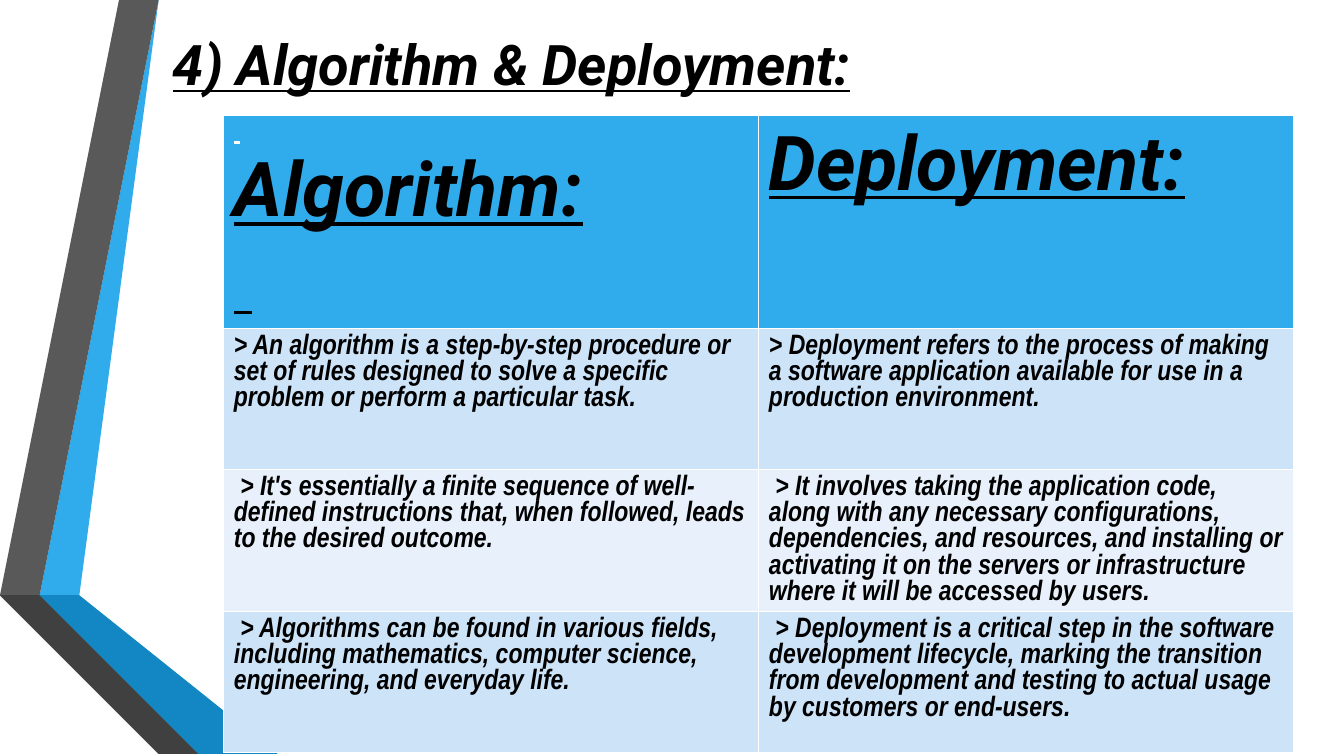
from pptx import Presentation
from pptx.dml.color import RGBColor
from pptx.enum.text import MSO_ANCHOR, PP_ALIGN
from pptx.oxml import parse_xml
from pptx.oxml.ns import nsdecls
from pptx.util import Cm, Pt

MIDDLE = MSO_ANCHOR.MIDDLE
LEFT = PP_ALIGN.LEFT
HEADING_FONT, BODY_FONT = "Roboto", "Arial Narrow"
COLORS = {
    "black": "000000",
    "white": "FFFFFF",
    "blue": "30ACEC",
    "mid_blue": "1287C3",
    "deep_blue": "0C5A82",
    "gray": "595959",
    "dark_gray": "404040",
    "shadow_gray": "262626",
    "band": "CDE3F8",
    "light_band": "E8F1FB",
}
RIBBONS = [
    ("blue", [(1.27, 14.68), (1.96, 14.81), (4.39, 0), (3.68, 0)]),
    ("gray", [(3.53, 0), (2.82, 0), (0.41, 14.55), (1.12, 14.66)]),
    ("shadow_gray", [(0.41, 14.55), (3.68, 19.05), (3.84, 19.05)]),
    ("deep_blue", [(1.27, 14.7), (5.28, 19.05), (5.44, 19.05)]),
    ("mid_blue", [(1.27, 14.7), (5.44, 19.05), (7.19, 19.05), (1.96, 14.81), (1.27, 14.68)]),
    ("dark_gray", [(5.13, 19.05), (1.22, 14.81), (1.09, 14.68), (1.12, 14.66),
                   (0.41, 14.55), (3.84, 19.05)]),
]
POINTS = [
    ("> An algorithm is a step-by-step procedure or set of rules designed to solve "
     "a specific problem or perform a particular task.",
     "> Deployment refers to the process of making a software application available "
     "for use in a production environment."),
    (" > It's essentially a finite sequence of well-defined instructions that, when "
     "followed, leads to the desired outcome.",
     " > It involves taking the application code, along with any necessary "
     "configurations, dependencies, and resources, and installing or activating it "
     "on the servers or infrastructure where it will be accessed by users."),
    (" > Algorithms can be found in various fields, including mathematics, computer "
     "science, engineering, and everyday life.",
     " > Deployment is a critical step in the software development lifecycle, marking "
     "the transition from development and testing to actual usage by customers or "
     "end-users."),
]


def color(name):
    """Return the named colour."""
    return RGBColor.from_string(COLORS[name])


def write(para, text, size=20, font=BODY_FONT, ink="black", underline=False):
    """Write bold italic text into a paragraph."""
    para.alignment = LEFT
    span = para.add_run()
    span.text = text
    span.font.size = Pt(size)
    span.font.name = font
    span.font.bold = span.font.italic = True
    span.font.underline = underline
    span.font.color.rgb = color(ink)


def add_ribbons(page, left, top):
    """Draw the folded ribbons from the given corner."""
    for fill, corners in RIBBONS:
        (start_x, start_y), *others = [(left + x, top + y) for x, y in corners]
        builder = page.shapes.build_freeform(start_x, start_y, scale=Cm(1))
        builder.add_line_segments(others, close=True)
        ribbon = builder.convert_to_shape()
        ribbon.shadow.inherit = False
        ribbon.fill.solid()
        ribbon.fill.fore_color.rgb = color(fill)
        ribbon.line.fill.background()


def add_title(page, left, top, width, height):
    """Place the underlined slide title in its box."""
    box = page.shapes.add_textbox(Cm(left), Cm(top), Cm(width), Cm(height))
    frame = box.text_frame
    frame.word_wrap = True
    frame.vertical_anchor = MIDDLE
    write(frame.paragraphs[0], "4) Algorithm & Deployment:", size=40,
          font=HEADING_FONT, underline=True)


def fill_header(algorithm, deployment):
    """Write both column headings, the first with its underline drawn onward."""
    heading = {"size": 54, "font": HEADING_FONT, "underline": True}
    frame = algorithm.text_frame
    write(frame.paragraphs[0], " ", ink="white", underline=True)
    para = frame.add_paragraph()
    write(para, "Algorithm:\t", **heading)
    para._p.get_or_add_pPr().append(parse_xml(
        f'<a:tabLst {nsdecls("a")}><a:tab pos="{Cm(12.55)}" algn="l"/></a:tabLst>'))
    write(frame.add_paragraph(), " ", **heading)
    write(deployment.text_frame.paragraphs[0], "Deployment:", **heading)


def add_comparison(page, left, top, width, header_height, row_height):
    """Place the two-column comparison table in its box."""
    row_count = len(POINTS) + 1
    height = header_height + row_height * len(POINTS)
    table = page.shapes.add_table(row_count, 2, Cm(left), Cm(top),
                                  Cm(width), Cm(height)).table
    fills = ["blue"] + [("band", "light_band")[i % 2] for i in range(len(POINTS))]
    for number, (row, fill) in enumerate(zip(table.rows, fills)):
        row.height = Cm(row_height if number else header_height)
        for cell in row.cells:
            cell.fill.solid()
            cell.fill.fore_color.rgb = color(fill)
    fill_header(table.cell(0, 0), table.cell(0, 1))
    for number, texts in enumerate(POINTS, start=1):
        for column, text in enumerate(texts):
            write(table.cell(number, column).text_frame.paragraphs[0], text)


def main():
    """Build the deck and save it."""
    deck = Presentation()
    deck.slide_width, deck.slide_height = Cm(33.87), Cm(19.05)
    page = deck.slides.add_slide(deck.slide_layouts[6])
    page.background.fill.solid()
    page.background.fill.fore_color.rgb = color("white")
    add_ribbons(page, 0, 0)
    add_comparison(page, 5.64, 2.9, 26.97, header_height=5.36, row_height=3.55)
    add_title(page, 4.11, 0.28, 27.84, 2.62)
    deck.save("out.pptx")


if __name__ == "__main__":
    main()
